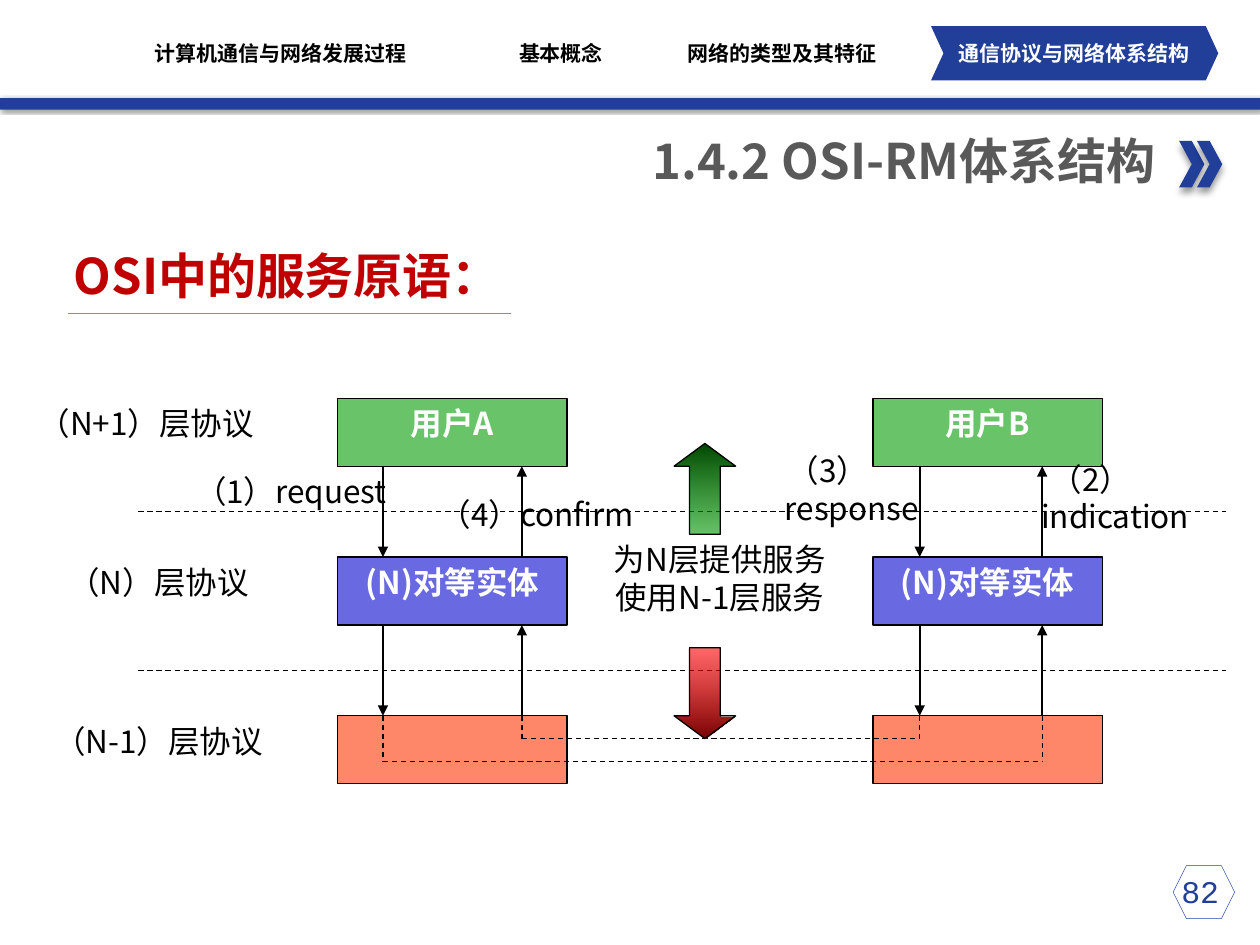
from pptx import Presentation
from pptx.dml.color import RGBColor
from pptx.enum.dml import MSO_LINE
from pptx.enum.shapes import MSO_CONNECTOR, MSO_SHAPE
from pptx.enum.text import MSO_ANCHOR, PP_ALIGN
from pptx.oxml.ns import qn
from pptx.util import Cm, Pt
from lxml.etree import SubElement

THEME = {
    "navy": "213F99", "gray": "595959", "crimson": "C00000", "black": "000000",
    "white": "FFFFFF", "rule": "5B9BD5", "user": "009900", "entity": "0000CC",
    "lower": "FF3300", "red": "FF0000", "dark red": "760000", "dark green": "004700",
    "heading": 28, "body": 18, "nav": 12, "opacity": 59,
    "sans": "Noto Sans CJK SC", "narrow": "Arial Narrow", "mono": "Courier New",
}
HANGING = {"marL": Cm(0.97), "indent": Cm(-0.97)}

TITLE = "1.4.2 OSI-RM体系结构"
NAVIGATION = [
    ("计算机通信与网络发展过程", 2.79, 5.74, "black"),
    ("基本概念", 9.47, 3.68, "black"),
    ("网络的类型及其特征", 13.67, 4.19, "black"),
    ("通信协议与网络体系结构", 18.47, 6.38, "white"),
]
LAYERS = [
    ("（N+1）层协议", PP_ALIGN.JUSTIFY, ["用户A", "用户B"], "user"),
    ("（N）层协议", PP_ALIGN.CENTER, ["(N)对等实体", "(N)对等实体"], "entity"),
    ("（N-1）层协议", PP_ALIGN.CENTER, ["", ""], "lower"),
]
PRIMITIVES = [
    ("（1）request", 3.4, 9.4, 4.93),
    ("（2）indication", 19.53, 9.14, 4.93),
    ("（3）response", 14.53, 8.97, 4.32),
    ("（4）confirm", 8.36, 9.86, 4.93),
]
SERVICES = ["为N层提供服务", "使用N-1层服务"]
SERVICE_ARROWS = [
    (MSO_SHAPE.DOWN_ARROW, 13.06, [("red", True), ("dark red", False)]),
    (MSO_SHAPE.UP_ARROW, 8.94, [("dark green", False), ("user", True)]),
]

BOX_LEFTS, BOX_WIDTH, BOX_HEIGHT = [6.81, 17.6], 4.62, 1.37
FIRST_TOP, PITCH = 8.03, 3.2
GAP = PITCH - BOX_HEIGHT
DOWN_XS, UP_XS = [7.72, 18.54], [10.52, 21.01]
BRIDGES = [(10.52, 18.54, 0.46), (7.72, 21.01, 0.92)]

presentation = Presentation()
presentation.slide_width, presentation.slide_height = Cm(25.4), Cm(19.05)
slide = presentation.slides.add_slide(presentation.slide_layouts[5])


def color(name):
    return RGBColor.from_string(THEME[name])


def assign(target, values):
    for name, value in values.items():
        setattr(target, name, value)


def write(shape, lines, size="body", ink="black", font="sans", bold=False,
          align=PP_ALIGN.CENTER, hanging=False, frame=None):
    text_frame = shape.text_frame
    assign(text_frame, {"word_wrap": True, "vertical_anchor": MSO_ANCHOR.TOP, **(frame or {})})
    text_frame.text = "\n".join(lines)
    for paragraph in text_frame.paragraphs:
        paragraph.alignment = align
        if hanging:
            for name, value in HANGING.items():
                paragraph._p.get_or_add_pPr().set(name, str(value))
        for run in paragraph.runs:
            assign(run.font, {"size": Pt(THEME[size]), "bold": bold, "name": THEME[font]})
            run.font.color.rgb = color(ink)
            SubElement(run._r.get_or_add_rPr(), qn("a:ea"), typeface=THEME["sans"])


def add_text(lines, left, top, width, height, **style):
    shape = slide.shapes.add_textbox(Cm(left), Cm(top), Cm(width), Cm(height))
    write(shape, lines, **style)


def set_opacity(color_element):
    SubElement(color_element, qn("a:alpha"), val=str(THEME["opacity"] * 1000))


def add_shape(kind, left, top, width, height, fill=None, line=None, weight=0.75,
              adjustments=(), shadow=None):
    shape = slide.shapes.add_shape(kind, Cm(left), Cm(top), Cm(width), Cm(height))
    shape.shadow.inherit = False
    for index, value in enumerate(adjustments):
        shape.adjustments[index] = value
    if fill:
        shape.fill.solid()
        shape.fill.fore_color.rgb = color(fill)
    else:
        shape.fill.background()
    if line:
        shape.line.color.rgb = color(line)
        shape.line.width = Pt(weight)
    else:
        shape.line.fill.background()
    if shadow:
        blur, distance, angle = shadow
        effects = shape._element.spPr.find(qn("a:effectLst"))
        outer = SubElement(effects, qn("a:outerShdw"), blurRad=str(Pt(blur)),
                           dist=str(Pt(distance)), dir=str(angle * 60000), rotWithShape="0")
        shade = SubElement(outer, qn("a:srgbClr"), val=THEME["black"])
        SubElement(shade, qn("a:alpha"), val="40000")
    return shape


def add_line(x1, y1, x2, y2, ink="black", weight=0.75, dashed=False, arrow=False):
    connector = slide.shapes.add_connector(
        MSO_CONNECTOR.STRAIGHT, Cm(x1), Cm(y1), Cm(x2), Cm(y2))
    connector.line.color.rgb = color(ink)
    connector.line.width = Pt(weight)
    if dashed:
        connector.line.dash_style = MSO_LINE.DASH
    properties = connector._element.spPr
    if arrow:
        SubElement(properties.find(qn("a:ln")), qn("a:tailEnd"), type="triangle")
    SubElement(properties, qn("a:effectLst"))


def add_header():
    title = slide.shapes.title
    assign(title, {"left": Cm(5.89), "top": Cm(2.51), "width": Cm(17.65), "height": Cm(1.45)})
    write(title, [TITLE], size="heading", ink="gray", bold=True, align=PP_ALIGN.RIGHT)
    add_shape(MSO_SHAPE.RECTANGLE, 0, 1.98, 25.4, 0.23, "navy", shadow=(2, 1, 45))
    for left in (23.77, 24.13):
        add_shape(MSO_SHAPE.CHEVRON, left, 2.84, 0.51, 0.94, "navy", shadow=(4, 3, 90))
    add_shape(MSO_SHAPE.CHEVRON, 18.77, 0.53, 5.79, 1.09, "navy", adjustments=[0.23])
    margins = dict.fromkeys(["margin_left", "margin_top", "margin_right", "margin_bottom"], 0)
    for label, left, width, ink in NAVIGATION:
        add_text([label], left, 0.81, width, 0.51, size="nav", ink=ink, font="narrow",
                 bold=True, frame={**margins, "vertical_anchor": MSO_ANCHOR.MIDDLE})
    add_text(["OSI中的服务原语："], 0.76, 4.83, 9.83, 1.45, size="heading", ink="crimson",
             bold=True, align=PP_ALIGN.LEFT, frame={"margin_left": Cm(0.73), "word_wrap": False})
    add_line(1.37, 6.32, 10.31, 6.32, "rule", 0.5)


def add_layers():
    for row, (label, align, names, fill) in enumerate(LAYERS):
        top = FIRST_TOP + row * PITCH
        add_text([label], 0.53, top, 5.33, BOX_HEIGHT, align=align, hanging=True)
        for left, name in zip(BOX_LEFTS, names):
            box = add_shape(MSO_SHAPE.RECTANGLE, left, top, BOX_WIDTH, BOX_HEIGHT, fill, "black")
            set_opacity(box.fill._xPr.find(qn("a:solidFill"))[0])
            if name:
                write(box, [name], ink="white", bold=True, hanging=True)


def add_exchanges():
    for text, left, top, width in PRIMITIVES:
        add_text([text], left, top, width, BOX_HEIGHT, hanging=True)
    add_text(SERVICES, 11.73, 10.77, 5.56, 2.29, hanging=True)
    for row in range(len(LAYERS) - 1):
        upper = FIRST_TOP + row * PITCH + BOX_HEIGHT
        lower = upper + GAP
        add_line(2.79, upper + GAP / 2, 24.71, upper + GAP / 2, dashed=True)
        for x in DOWN_XS:
            add_line(x, upper, x, lower, weight=1, arrow=True)
        for x in UP_XS:
            add_line(x, lower, x, upper, weight=1, arrow=True)
    top = FIRST_TOP + 2 * PITCH
    for left, right, depth in BRIDGES:
        for x in (left, right):
            add_line(x, top, x, top + depth, dashed=True)
        add_line(left, top + depth, right, top + depth, dashed=True)


def add_service_arrows():
    for kind, top, stops in SERVICE_ARROWS:
        arrow = add_shape(kind, 13.59, top, 1.24, 1.83, line="black", adjustments=[0.5, 0.37])
        arrow.fill.gradient()
        arrow.fill.gradient_angle = 270
        for position, (stop, (name, translucent)) in enumerate(zip(arrow.fill.gradient_stops, stops)):
            stop.position = position
            stop.color.rgb = color(name)
            if translucent:
                set_opacity(stop._gs[0])


def add_page_number():
    add_shape(MSO_SHAPE.HEXAGON, 23.65, 17.45, 1.24, 1.07, line="navy", weight=0.25)
    add_text(["82"], 23.09, 17.45, 2.21, 1.02, ink="navy", font="mono")


add_header()
add_layers()
add_exchanges()
add_service_arrows()
add_page_number()
presentation.save("out.pptx")
